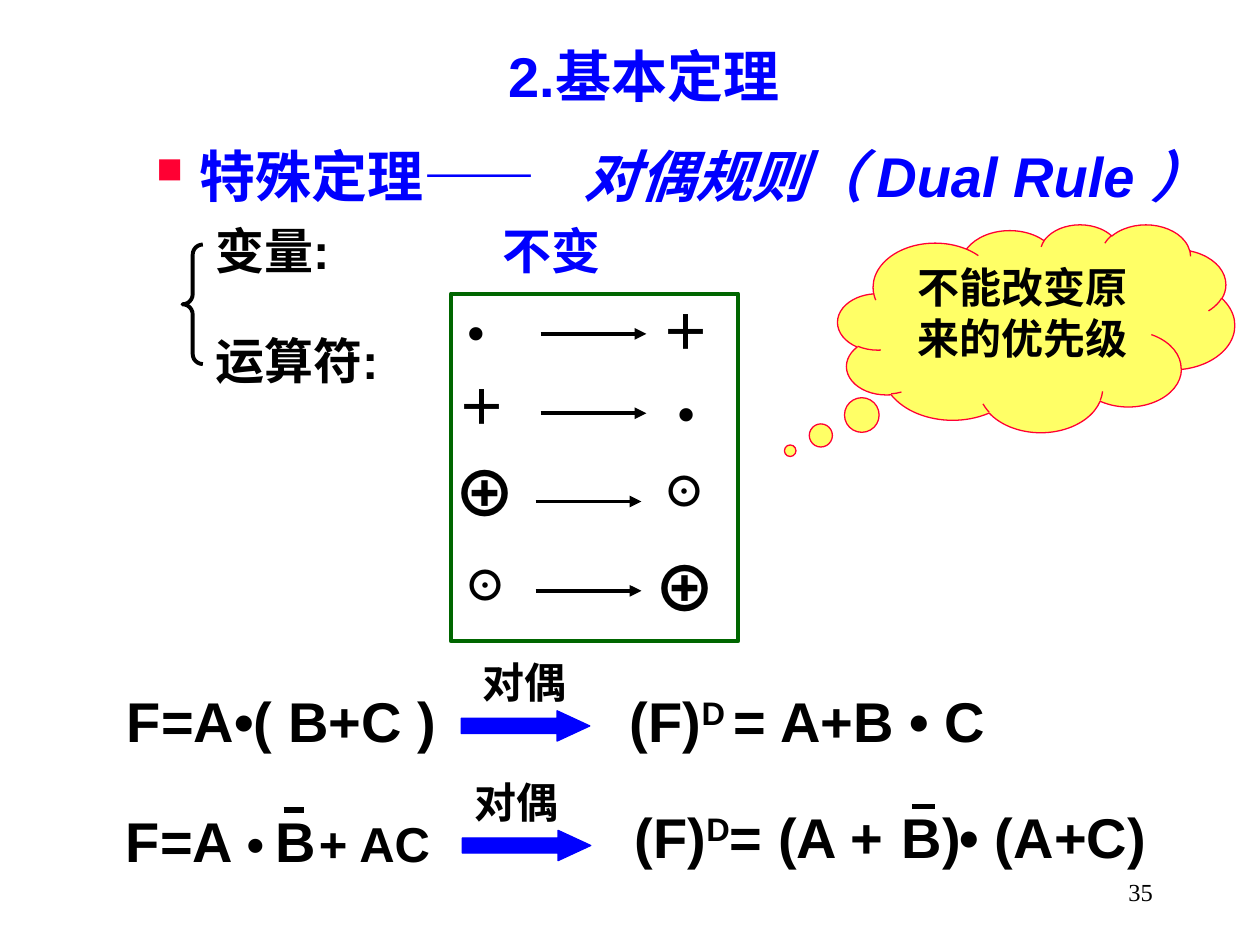
from lxml.etree import SubElement
from pptx import Presentation
from pptx.dml.color import RGBColor
from pptx.enum.shapes import MSO_CONNECTOR, MSO_SHAPE as Shape
from pptx.enum.text import MSO_ANCHOR as Anchor, PP_ALIGN as Align
from pptx.oxml.ns import qn
from pptx.util import Cm, Pt

COLORS = {"ink": "000000", "blue": "0000FF", "green": "006600",
          "red": "FF0033", "yellow": "FFFF66"}
CJK = "Noto Sans CJK SC"
SERIF = "Times New Roman"


def color(name):
    return RGBColor.from_string(COLORS[name])


def write(target, text, size=32, font="Arial", ink="ink", bold=True, italic=False,
          align=Align.LEFT, anchor=Anchor.TOP, tab=None, bullet=None):
    """Put text in a shape, or in a new box at (left, top, width, height) in cm.

    text is a string or a list of (string, overrides) pairs.
    """
    if isinstance(target, tuple):
        target = page.shapes.add_textbox(*map(Cm, target))
    frame = target.text_frame
    frame.word_wrap = True
    frame.vertical_anchor = anchor
    para = frame.paragraphs[0]
    para.alignment = align
    props = para._p.get_or_add_pPr()
    if bullet:
        props.set("marL", str(Cm(0.88)))
        props.set("indent", str(-Cm(0.88)))
        SubElement(SubElement(props, qn("a:buClr")), qn("a:srgbClr"), val=COLORS["red"])
        SubElement(props, qn("a:buSzPct"), val="65000")
        SubElement(props, qn("a:buChar"), char=bullet)
    if tab:
        stops = SubElement(props, qn("a:tabLst"))
        SubElement(stops, qn("a:tab"), pos=str(Cm(tab)), algn="l")
    for words, changes in [(text, {})] if isinstance(text, str) else text:
        span = para.add_run()
        span.text = words
        span.font.size = Pt(changes.get("size", size))
        span.font.bold, span.font.italic = bold, italic
        span.font.color.rgb = color(changes.get("ink", ink))
        span.font.name = font
        span_props = span._r.get_or_add_rPr()
        SubElement(span_props, qn("a:ea"), typeface=CJK)
        if changes.get("raised"):
            span_props.set("baseline", "30000")


deck = Presentation()
deck.slide_width, deck.slide_height = Cm(25.4), Cm(19.05)
page = deck.slides.add_slide(deck.slide_layouts[6])

# Title and heading
write((2.69, 0.71, 20.6, 1.63), "2.基本定理", ink="blue", align=Align.CENTER)
write((2.9, 2.72, 11.61, 1.63), "特殊定理——", ink="blue", bullet="■")
write((11.51, 2.72, 13.82, 1.63), "对偶规则（ Dual Rule ）", ink="blue", italic=True)

# Variables and operators
write((4.09, 4.32, 13.79, 1.45), [("变量:\t", {}), ("不变", {"ink": "blue"})],
      size=28, tab=5.79)
write((4.09, 6.53, 5.28, 1.45), "运算符:", size=28)

# Operator symbols that swap
for sign, left, top in [("•", 8.89, 5.82), ("＋", 12.83, 5.82),
                        ("＋", 8.71, 7.32), ("•", 13.13, 7.44)]:
    write((left, top, 1.91, 1.63), [(" ", {}), (sign, {"size": 28})], font=SERIF)
for sign, size, left, top in [("⊕", 36, 8.89, 9.04), ("⊙", 24, 13.13, 9.25),
                              ("⊙", 24, 9.12, 11.15), ("⊕", 36, 12.93, 10.95)]:
    write((left, top, 1.91, 1.78), sign, size=size, font=CJK)

# Formulas
write((2.31, 13.72, 7.01, 1.63), "F=A•( B+C )")
write((12.45, 13.72, 8.25, 1.63),
      [("(F)", {}), ("D ", {"raised": True}), ("= A+B • C", {})])
write((2.29, 16.13, 7.8, 1.63), [("F=A ", {}), ("•\t+ AC", {"size": 28})], tab=3.89)
write((5.31, 16.13, 1.47, 1.63), "B")
write((12.55, 16.05, 11.91, 1.63),
      [("(F)", {}), ("D", {"raised": True}), ("= (A +\t• (A+C)", {})], tab=6.55)
write((17.93, 16.05, 3.12, 1.63), "B)")
for left, top in [(9.47, 13.11), (9.32, 15.52)]:
    write((left, top, 3.02, 1.27), "对偶", size=24)

# Operator arrows, then the bars over B
for left, right, y, weight, head in [
        (10.9, 13.03, 6.73, 2.25, True), (10.9, 13.03, 8.33, 2.25, True),
        (10.8, 12.93, 10.11, 2.25, True), (10.8, 12.93, 11.91, 2.25, True),
        (5.72, 6.12, 16.33, 3, False), (18.39, 18.85, 16.26, 3, False)]:
    line = page.shapes.add_connector(MSO_CONNECTOR.STRAIGHT,
                                     Cm(left), Cm(y), Cm(right), Cm(y))
    line.line.color.rgb = color("ink")
    line.line.width = Pt(weight)
    if head:
        SubElement(line.line._get_or_add_ln(), qn("a:tailEnd"), type="triangle")
    SubElement(line._element.spPr, qn("a:effectLst"))

# Brace, frame, block arrows and cloud
for kind, place, adjust, fill, edge, weight, text in [
        (Shape.LEFT_BRACE, (3.68, 4.93, 0.41, 2.41), (0.5, 0.5), None, "ink", 2.25, None),
        (Shape.RECTANGLE, (9.09, 5.92, 5.79, 7.01), (), None, "green", 2.25, None),
        (Shape.RIGHT_ARROW, (9.3, 14.33, 2.59, 0.61), (0.5, 1.08), "blue", "blue", 0.75, None),
        (Shape.RIGHT_ARROW, (9.32, 16.74, 2.59, 0.61), (0.5, 1.08), "blue", "blue", 0.75, None),
        (Shape.CLOUD_CALLOUT, (16.89, 4.52, 8, 4.19), (-0.62, 0.59), "yellow", "red", 0.75,
         "不能改变原来的优先级")]:
    shape = page.shapes.add_shape(kind, *map(Cm, place))
    shape.shadow.inherit = False
    for index, value in enumerate(adjust):
        shape.adjustments[index] = value
    if fill:
        shape.fill.solid()
        shape.fill.fore_color.rgb = color(fill)
    else:
        shape.fill.background()
    shape.line.color.rgb = color(edge)
    shape.line.width = Pt(weight)
    if text:
        write(shape, text, size=24, font=SERIF, align=Align.CENTER)

# Page number
write((18.21, 17.35, 5.28, 1.27), "35", size=14, font=SERIF, bold=False,
      align=Align.RIGHT, anchor=Anchor.MIDDLE)

deck.save("out.pptx")
